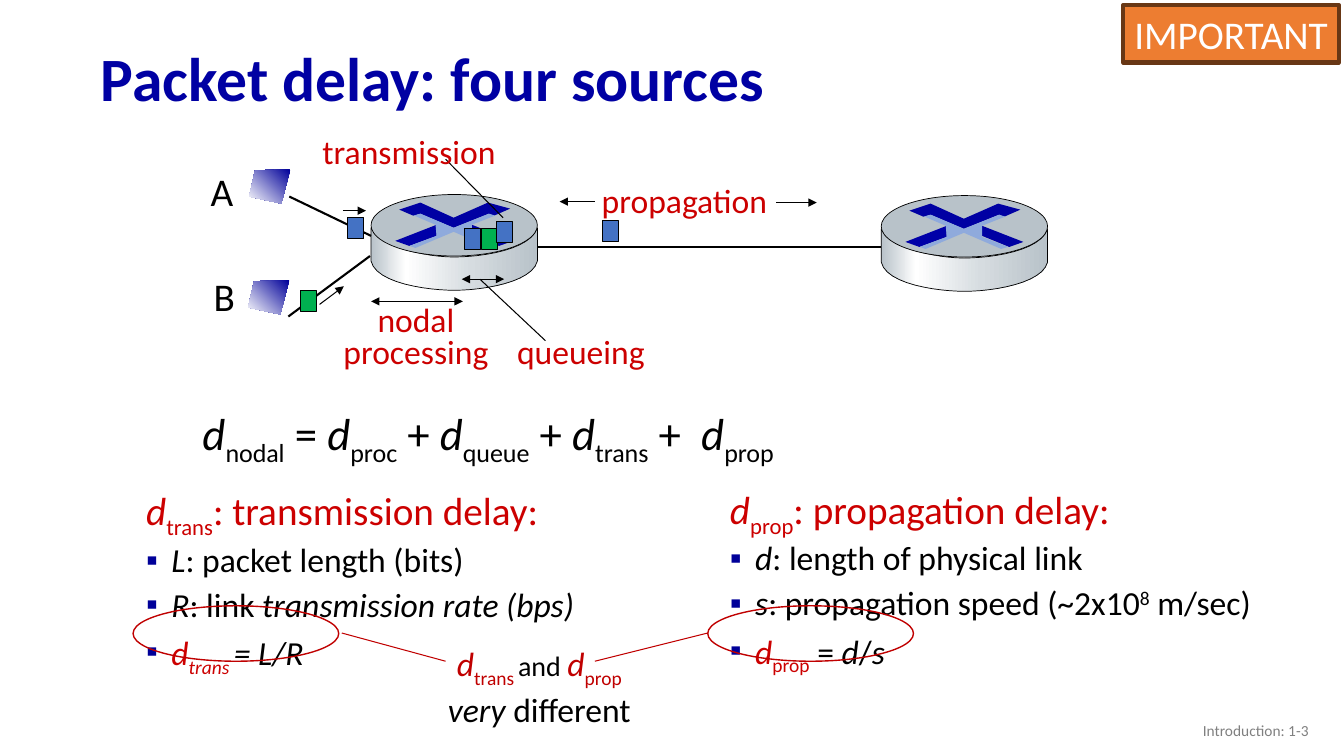
from lxml import etree
from pptx import Presentation
from pptx.dml.color import RGBColor
from pptx.enum.shapes import MSO_CONNECTOR, MSO_SHAPE
from pptx.enum.text import MSO_ANCHOR, MSO_AUTO_SIZE, PP_ALIGN
from pptx.oxml.ns import qn
from pptx.util import Pt

PX = 9144  # 100 px to the inch
RECT, OVAL = MSO_SHAPE.RECTANGLE, MSO_SHAPE.OVAL
LINE = MSO_CONNECTOR.STRAIGHT
LEFT, MID, RIGHT = PP_ALIGN.LEFT, PP_ALIGN.CENTER, PP_ALIGN.RIGHT
FONT = "Calibri"
BLACK, WHITE, NAVY = "000000", "FFFFFF", "0000A3"
RED, WINE = "CC0000", "C00000"
BLUE, GREEN = "4472C4", "00B050"
STEEL = "B8C2C9"
HUES = {"r": RED, "k": BLACK}
SHIFTS = {"_": "-25000", "^": "30000"}


def px(*vals):
    return [round(v * PX) for v in vals]


def rgb(code):
    return RGBColor.from_string(code)


def style(shape, fill=None, line=None, width=0.75):
    shape.shadow.inherit = False
    if fill:
        shape.fill.solid()
        shape.fill.fore_color.rgb = rgb(fill)
    else:
        shape.fill.background()
    if line:
        shape.line.color.rgb = rgb(line)
        shape.line.width = Pt(width)
    else:
        shape.line.fill.background()
    return shape


def shade(shape, stops, angle):
    """Give the shape a gradient of (percent, colour) stops, clockwise angle."""
    shape.fill.gradient()
    grad = shape._element.spPr.find(qn("a:gradFill"))
    steps = grad.find(qn("a:gsLst"))
    for old in list(steps):
        steps.remove(old)
    for pos, code in stops:
        step = etree.SubElement(steps, qn("a:gs"), pos=str(pos * 1000))
        etree.SubElement(step, qn("a:srgbClr"), val=code)
    grad.find(qn("a:lin")).set("ang", str(angle * 60000))


def form(shapes, kind, box, fill=None, line=BLACK, width=0.75):
    return style(shapes.add_shape(kind, *px(*box)), fill, line, width)


def outline(shapes, left, top, pts, fill=None, line=None, width=0.5):
    spots = [px(left + x, top + y) for x, y in pts]
    path = shapes.build_freeform(*spots[0])
    path.add_line_segments(spots[1:], close=True)
    return style(path.convert_to_shape(), fill, line, width)


def curve(a, b, c, d, steps=12):
    """Points of a cubic Bezier curve."""
    for n in range(steps + 1):
        t = n / steps
        u = 1 - t
        yield tuple(u**3 * p + 3 * u * u * t * q + 3 * u * t * t * r + t**3 * s
                    for p, q, r, s in zip(a, b, c, d))


def link(shapes, x1, y1, x2, y2, width=0.75, ends="", hue=BLACK):
    wire = shapes.add_connector(LINE, *px(x1, y1, x2, y2))
    wire.line.color.rgb = rgb(hue)
    wire.line.width = Pt(width)
    for end in ends.split():
        etree.SubElement(wire.line._get_or_add_ln(), qn(f"a:{end}End"), type="triangle")
    etree.SubElement(wire._element.spPr, qn("a:effectLst"))


def write(par, size, hue, runs, align=LEFT, gap=None):
    """Runs are (text, marks): i italic, _ sub, ^ super, s small, r red, k black."""
    par.alignment = align
    if gap:
        par.line_spacing = gap
    par.font.name, par.font.size = FONT, Pt(size)
    par.font.color.rgb = rgb(hue)
    for text, marks in runs:
        run = par.add_run()
        run.text = text
        for mark in marks:
            if mark == "i":
                run.font.italic = True
            elif mark == "s":
                run.font.size = Pt(20)
            elif mark in HUES:
                run.font.color.rgb = rgb(HUES[mark])
            else:
                run.font._element.set("baseline", SHIFTS[mark])


def label(shapes, box, size, hue, *rows, align=LEFT, gap=None, wrap=False):
    frame = shapes.add_textbox(*px(*box)).text_frame
    frame.word_wrap = wrap
    for n, row in enumerate(rows):
        par = frame.add_paragraph() if n else frame.paragraphs[0]
        runs = [(row, "")] if isinstance(row, str) else row
        write(par, size, hue, runs, align, gap)
    return frame


def router(shapes, left, top):
    low = [*curve((165, 66), (160, 87), (111, 95), (83, 95)),
           *curve((83, 95), (56, 95), (5, 88), (0, 66))]
    rim = [*curve((0, 33), (8, 52), (55, 62), (82, 62)),
           *curve((82, 62), (110, 62), (158, 55), (165, 33))]
    side = outline(shapes, left, top, low + rim, line=BLACK)
    shade(side, [(0, STEEL), (21, WHITE), (60, "D6DCE0"), (100, STEEL)], 0)
    form(shapes, OVAL, (left, top, 165, 61), STEEL, width=0.5)
    arms = [(116, 8), (138, 14), (122, 21), (117, 19), (82, 33),
            (49, 19), (42, 21), (28, 15), (49, 8), (82, 23)]
    east = [(100, 30), (141, 46), (127, 51), (100, 40)]
    west = [(65, 30), (65, 41), (38, 51), (24, 46)]
    glow = [(42, 21), (49, 19), (82, 33), (117, 19), (123, 21), (100, 30),
            (100, 41), (126, 51), (119, 53), (82, 37), (44, 53), (38, 51),
            (65, 41), (64, 30), (43, 21)]
    for pts, hue in ((arms, NAVY), (east, NAVY), (west, "0000A8"), (glow, "8FAADC")):
        outline(shapes, left, top, pts, hue)


def host(shapes, left, top):
    pts = [(41, 0), (6, 1), (0, 27), (32, 34)]
    shade(outline(shapes, left, top, pts), [(0, "000099"), (100, WHITE)], 135)


def network(shapes, left, top):
    """Hosts, routers, packets and delay labels, placed from the corner."""
    def at(x, y, *size):
        return (left + x, top + y, *size)

    def wire(x1, y1, x2, y2, *look):
        link(shapes, *at(x1, y1), *at(x2, y2), *look)

    router(shapes, *at(169, 68))
    wire(88, 70, 169, 109, 1.5)
    wire(87, 189, 168, 129, 1.5)
    wire(335, 120, 705, 120, 2)
    router(shapes, *at(675, 69))
    host(shapes, *at(48, 43))
    host(shapes, *at(47, 153))
    for x, y, hue in ((399, 94, BLUE), (262, 102, BLUE), (279, 102, GREEN),
                      (293, 95, BLUE), (146, 91, BLUE), (99, 163, GREEN)):
        form(shapes, RECT, at(x, y, 16, 21), hue)
    for x1, y1, x2, y2, ends in (
            (571, 76, 611, 76, "tail"), (391, 75, 356, 75, "tail"),
            (260, 174, 169, 174, "head tail"), (301, 152, 259, 152, "head tail"),
            (141, 84, 164, 84, "tail"), (118, 177, 142, 159, "tail"),
            (342, 213, 277, 152, ""), (243, 33, 300, 91, "")):
        wire(x1, y1, x2, y2, 0.75, ends)
    for text, box in (("transmission", (111, 0, 193, 50)),
                      ("propagation", (388, 49, 186, 50)),
                      ("queueing", (304, 198, 148, 50))):
        label(shapes, at(*box), 24, RED, text)
    label(shapes, at(131, 174, 165, 76), 24, RED, "nodal", "processing",
          align=MID, gap=0.8)
    label(shapes, at(0, 36, 43, 57), 28, BLACK, "A")
    label(shapes, at(3, 140, 42, 57), 28, BLACK, "B")


def formula(shapes, box):
    runs = []
    for name, sign in (("nodal", " = "), ("proc", " + "), ("queue", " + "),
                       ("trans", " +  "), ("prop", "")):
        runs += [("d", "i"), (name, "_"), (sign, "")]
    frame = label(shapes, box, 32, BLACK, runs[:-1], gap=0.85, wrap=True)
    frame.margin_top = px(14)[0]


def place(holder, box):
    holder.left, holder.top, holder.width, holder.height = px(*box)
    frame = holder.text_frame
    frame.word_wrap = True
    frame.auto_size = MSO_AUTO_SIZE.NONE
    return frame


def terms(holder, box, gap, head, *items):
    """Red heading with a bulleted list of its symbols."""
    frame = place(holder, box)
    frame.vertical_anchor = MSO_ANCHOR.TOP
    frame.margin_top = px(13)[0]
    for n, runs in enumerate((head, *items)):
        par = frame.add_paragraph() if n else frame.paragraphs[0]
        par.space_before = Pt(6 if n else 0)
        props = par._p.get_or_add_pPr()
        dent = px(25 if n else 38)[0]
        props.set("marL", str(dent))
        props.set("indent", str(-dent))
        if n:
            tint = etree.SubElement(props, qn("a:buClr"))
            etree.SubElement(tint, qn("a:srgbClr"), val="000099")
            etree.SubElement(props, qn("a:buChar"), char="▪")
            write(par, 24, BLACK, runs, gap=0.9)
        else:
            etree.SubElement(props, qn("a:buNone"))
            write(par, 28, RED, runs, gap=gap)


def contrast(shapes, left, top):
    """Ringed formulas joined to the remark between them."""
    label(shapes, (left + 288, top + 32, 230, 91), 24, WINE,
          [("d", "i"), ("trans", "_"), (" ", "_s"), ("and ", "sk"),
           ("d", "i"), ("prop", "_")],
          [("very ", "ik"), ("different", "k")], align=MID, wrap=True)
    for x in (0, 570):
        form(shapes, OVAL, (left + x, top, 204, 55), line=WINE, width=1)
    for x1, x2 in ((570, 458), (207, 310)):
        link(shapes, left + x1, top + 27, left + x2, top + 55, hue=WINE)


def badge(shapes, box):
    frame = form(shapes, RECT, box, "ED7D31", "683715", 3).text_frame
    frame.word_wrap = False
    write(frame.paragraphs[0], 28, WHITE, [("IMPORTANT", "")], MID)


def main():
    deck = Presentation()
    deck.slide_width, deck.slide_height = px(1333, 750)
    slide = deck.slides.add_slide(deck.slide_layouts[3])
    shapes = slide.shapes
    title, trans, prop = slide.placeholders
    frame = place(title, (90, 32, 1150, 98))
    frame.vertical_anchor = MSO_ANCHOR.MIDDLE
    write(frame.paragraphs[0], 44, NAVY, [("Packet delay: four sources", "")], gap=0.9)
    frame.paragraphs[0].font.bold = True
    network(shapes, 199, 125)
    formula(shapes, (191, 392, 675, 61))
    terms(trans, (135, 470, 479, 227), 0.9,
          [("d", "i"), ("trans", "_"), (": transmission delay:", "")],
          [("L", "i"), (": packet length (bits)", "")],
          [("R", "i"), (": link ", ""), ("transmission rate (bps)", "i")],
          [("d", "ir"), ("trans ", "i_r"), ("= L/R", "i")])
    terms(prop, (714, 471, 563, 240), 0.85,
          [("d", "i"), ("prop", "_"), (": propagation delay:", "")],
          [("d", "i"), (": length of physical link", "")],
          [("s", "i"), (": propagation speed (~2x10", ""), ("8", "^"), (" m/sec)", "")],
          [("d", "ir"), ("prop", "_r"), (" = ", ""), ("d", "i"), ("/", ""), ("s", "i")])
    contrast(shapes, 132, 601)
    foot = label(shapes, (1008, 705, 300, 40), 11, "808080", "Introduction: 1-3",
                 align=RIGHT, wrap=True)
    foot.vertical_anchor = MSO_ANCHOR.MIDDLE
    badge(shapes, (1114, 5, 214, 57))
    deck.save("out.pptx")


if __name__ == "__main__":
    main()
